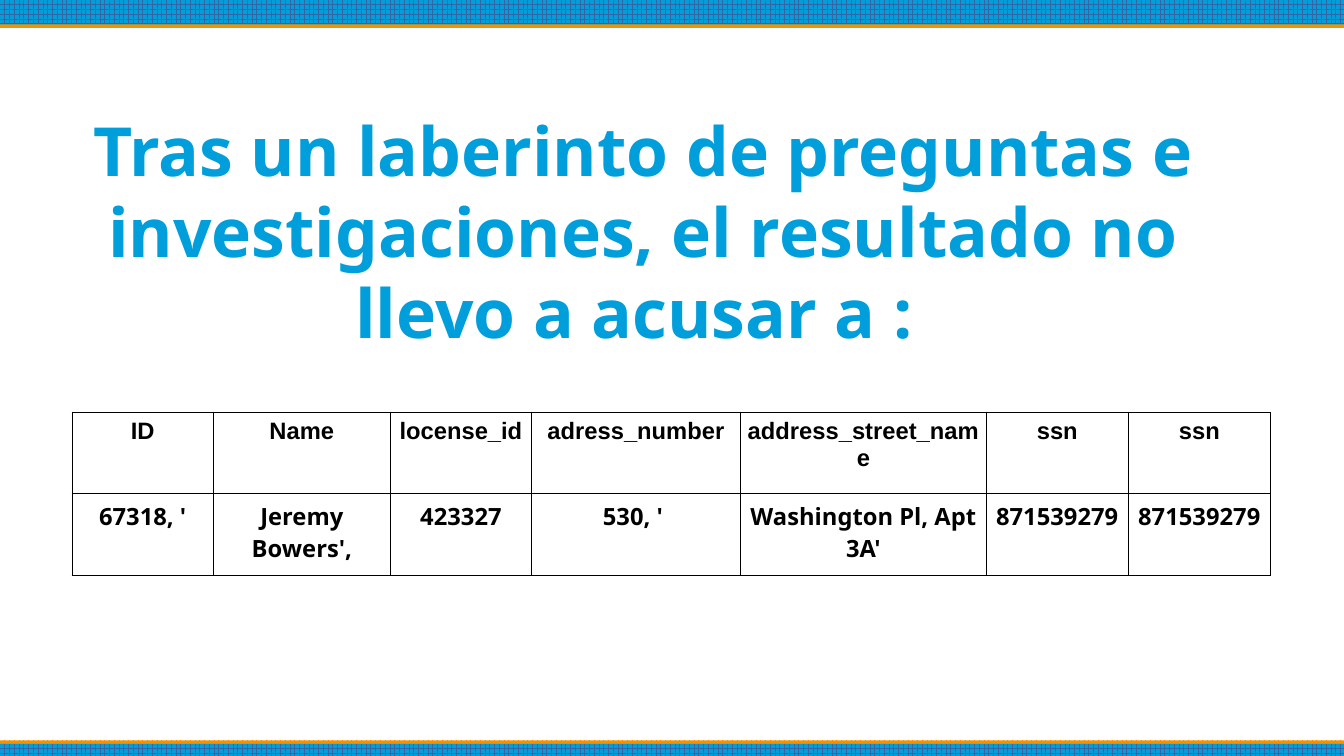
from lxml.etree import SubElement
from pptx import Presentation
from pptx.dml.color import RGBColor
from pptx.enum.dml import MSO_PATTERN
from pptx.enum.shapes import MSO_SHAPE
from pptx.enum.text import MSO_ANCHOR, MSO_AUTO_SIZE, PP_ALIGN
from pptx.oxml.ns import qn
from pptx.util import Inches, Pt

WIDTH, HEIGHT = 11.02, 6.2
BLUE, GRID_BLUE, ORANGE, BLACK = "009EDA", "3465A4", "F49100", "000000"
HEADING_FONT, HEADER_FONT = "Noto Sans", "Arial"

COLUMN_WIDTHS = [1.16, 1.45, 1.16, 1.71, 2.02, 1.16, 1.17]
ROW_HEIGHT = 0.67
SUSPECT_ROWS = [
    ["ID", "Name", "locense_id", "adress_number", "address_street_name", "ssn", "ssn"],
    ["67318, '", "Jeremy Bowers',", "423327", "530, ' ", "Washington Pl, Apt 3A'",
     "871539279", "871539279"],
]


def rgb(hex_color):
    return RGBColor.from_string(hex_color)


class SlideBuilder:
    """Holds the current slide and draws its elements in the deck's style."""

    def __init__(self, slide):
        self.slide = slide

    def style(self, paragraph, font_name, size, color):
        paragraph.alignment = PP_ALIGN.CENTER
        font = paragraph.font
        font.name, font.size, font.bold = font_name, Pt(size), True
        font.color.rgb = rgb(color)

    def title(self, text, left, top, width, height):
        heading = self.slide.shapes.title
        heading.left, heading.top = Inches(left), Inches(top)
        heading.width, heading.height = Inches(width), Inches(height)
        frame = heading.text_frame
        frame.text = text
        frame.word_wrap = True
        frame.auto_size = MSO_AUTO_SIZE.NONE
        frame.vertical_anchor = MSO_ANCHOR.TOP
        frame.margin_left = frame.margin_right = 0
        frame.margin_top = frame.margin_bottom = 0
        self.style(frame.paragraphs[0], HEADING_FONT, 40, BLUE)

    def band(self, top, height, shadow_angle):
        """Draw a full-width grid band with a hard orange edge cast at the given angle."""
        band = self.slide.shapes.add_shape(
            MSO_SHAPE.RECTANGLE, 0, Inches(top), Inches(WIDTH), Inches(height))
        band.line.fill.background()
        band.fill.patterned()
        band.fill.pattern = MSO_PATTERN.LARGE_GRID
        band.fill.fore_color.rgb = rgb(GRID_BLUE)
        band.fill.back_color.rgb = rgb(BLUE)
        band.shadow.inherit = False
        effects = band._element.spPr.find(qn("a:effectLst"))
        edge = SubElement(effects, qn("a:outerShdw"), blurRad="0", dist=str(Pt(2)),
                          dir=str(shadow_angle * 60000), rotWithShape="0")
        SubElement(edge, qn("a:srgbClr"), val=ORANGE)

    def table(self, rows, left, top):
        frame = self.slide.shapes.add_table(
            len(rows), len(COLUMN_WIDTHS), Inches(left), Inches(top),
            Inches(sum(COLUMN_WIDTHS)), Inches(ROW_HEIGHT * len(rows)))
        table = frame.table
        table.first_row = table.horz_banding = False
        for column, width in zip(table.columns, COLUMN_WIDTHS):
            column.width = Inches(width)
        for row_index, values in enumerate(rows):
            table.rows[row_index].height = Inches(ROW_HEIGHT)
            font_name = HEADING_FONT if row_index else HEADER_FONT
            for column_index, value in enumerate(values):
                self.cell(table.cell(row_index, column_index), value, font_name)

    def cell(self, cell, value, font_name):
        cell.text = value
        cell.margin_left = cell.margin_right = Inches(0.04)
        cell.margin_top = cell.margin_bottom = Inches(0.05)
        self.style(cell.text_frame.paragraphs[0], font_name, 14, BLACK)
        properties = cell._tc.get_or_add_tcPr()
        for side in ("a:lnL", "a:lnR", "a:lnT", "a:lnB"):
            border = SubElement(properties, qn(side), w=str(Pt(0.57)))
            fill = SubElement(border, qn("a:solidFill"))
            SubElement(fill, qn("a:srgbClr"), val=BLACK)
        cell.fill.background()


def main():
    deck = Presentation()
    deck.slide_width, deck.slide_height = Inches(WIDTH), Inches(HEIGHT)
    title_only = deck.slide_layouts.get_by_name("Title Only")
    builder = SlideBuilder(deck.slides.add_slide(title_only))

    builder.band(0, 0.2, shadow_angle=90)
    builder.band(6.1, 0.1, shadow_angle=270)
    builder.title("Tras un laberinto de preguntas e investigaciones, "
                  "el resultado no llevo a acusar a : ", 0.31, 0.89, 9.92, 5.02)
    builder.table(SUSPECT_ROWS, 0.59, 3.38)
    deck.save("out.pptx")


if __name__ == "__main__":
    main()
